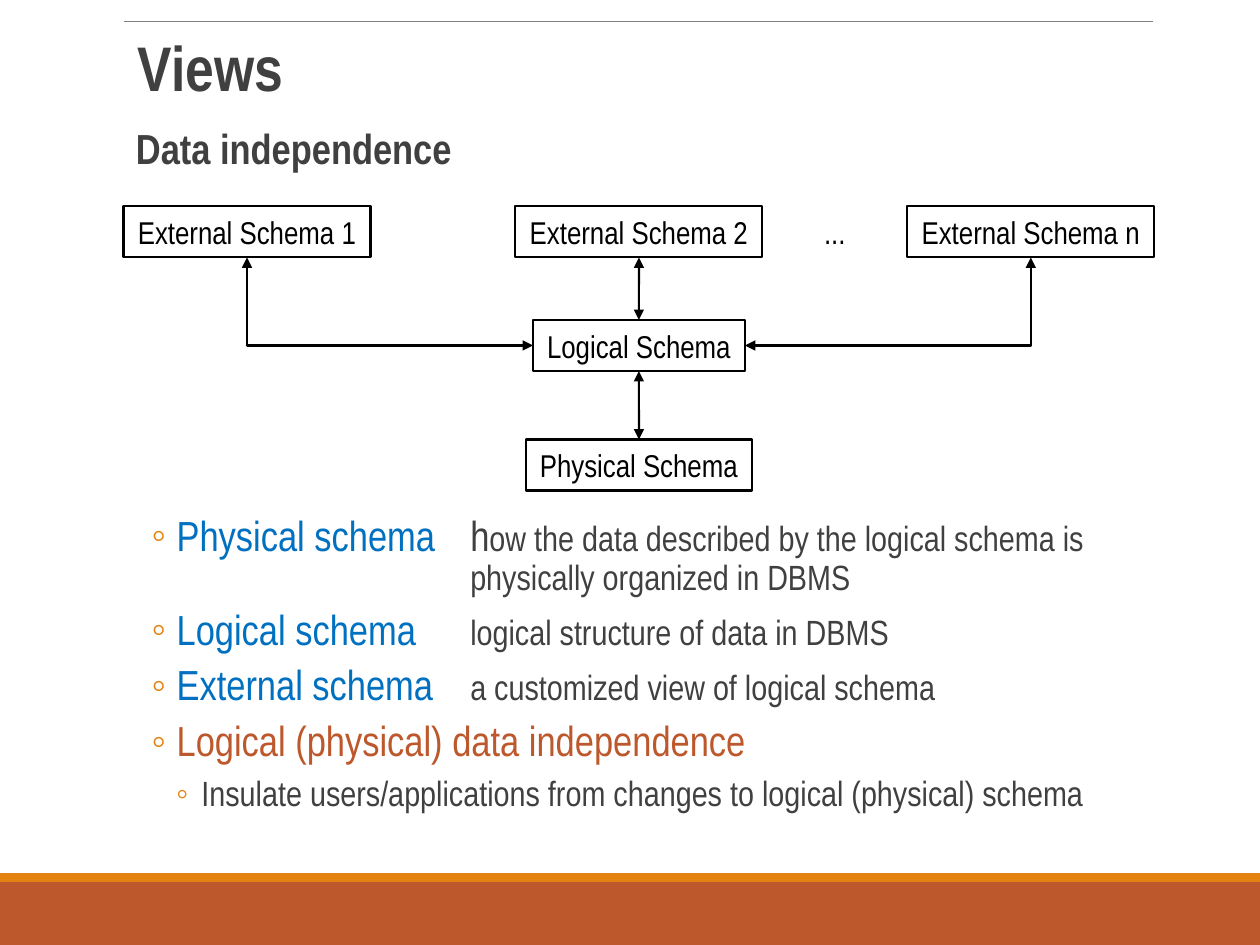
from dataclasses import dataclass

import pptx
import pptx.dml.color
import pptx.enum.shapes
import pptx.enum.text
import pptx.oxml
import pptx.oxml.ns
import pptx.util
from pptx.util import Cm, Pt

Shapes = pptx.enum.shapes.MSO_SHAPE
Connectors = pptx.enum.shapes.MSO_CONNECTOR
Anchor = pptx.enum.text.MSO_ANCHOR
Align = pptx.enum.text.PP_ALIGN


@dataclass(frozen=True)
class Theme:
    font: str = "Arial Narrow"
    text: str = "404040"
    ink: str = "000000"
    paper: str = "FFFFFF"
    term: str = "0070C0"
    rust: str = "BD582C"
    orange: str = "E48312"
    rule: str = "808080"
    title_size: int = 36
    heading_size: int = 24
    detail_size: int = 20
    box_size: int = 18
    box_line: float = 1.25


@dataclass(frozen=True)
class SchemaBox:
    label: str
    center: float
    top: float
    width: float
    outlined: bool = True


@dataclass(frozen=True)
class Link:
    """Joins two boxes at connection sites: 0 top, 1 left, 2 bottom, 3 right."""
    start: str
    start_site: int
    end: str
    end_site: int
    bent: bool = False


THEME = Theme()
LEFT, CONTENT_WIDTH = 2.49, 20.78
SLIDE_WIDTH, SLIDE_HEIGHT = 25.4, 19.05
BOX_HEIGHT = 1.03
FIRST_CENTER, PITCH = 4.98, 7.9
MIDDLE = FIRST_CENTER + PITCH
EXTERNAL_TOP, EXTERNAL_WIDTH = 4.16, 4.98
DIAGRAM_GAP = 193

BOXES = [
    SchemaBox("Physical Schema", MIDDLE, 8.86, 4.55),
    SchemaBox("Logical Schema", MIDDLE, 6.45, 4.27),
    *(SchemaBox(f"External Schema {name}", FIRST_CENTER + index * PITCH,
                EXTERNAL_TOP, EXTERNAL_WIDTH)
      for index, name in enumerate("12n")),
    SchemaBox("...", MIDDLE + PITCH / 2, EXTERNAL_TOP, 0.97, outlined=False),
]
LINKS = [
    Link("Logical Schema", 2, "Physical Schema", 0),
    Link("External Schema 2", 2, "Logical Schema", 0),
    Link("Logical Schema", 1, "External Schema 1", 2, bent=True),
    Link("Logical Schema", 3, "External Schema n", 2, bent=True),
]
DEFINITIONS = [
    ("Logical schema", "logical structure of data in DBMS"),
    ("External schema", "a customized view of logical schema"),
]


def rgb(value: str) -> pptx.dml.color.RGBColor:
    return pptx.dml.color.RGBColor.from_string(value)


def add_text(para, text: str, *, size: float, color: str = THEME.text, bold: bool = False) -> None:
    span = para.add_run()
    span.text = text
    span.font.name = THEME.font
    span.font.size = Pt(size)
    span.font.bold = bold
    span.font.color.rgb = rgb(color)


def add_xml(parent, markup: str) -> None:
    namespace = pptx.oxml.ns.nsdecls("a")
    parent.append(pptx.oxml.parse_xml(markup.replace("/>", f" {namespace}/>", 1)
                                      if markup.count("<") == 1
                                      else markup.replace(">", f" {namespace}>", 1)))


def format_paragraph(para, *, margin: float = 0, hanging: float = 0, before: float = 2,
                     after: float = 4, level: int = 0, tab: float = 0) -> None:
    """Set spacing and indents in points and cm; a hanging indent brings a bullet."""
    para.level = level
    para.alignment = Align.LEFT
    para.line_spacing = 0.9
    para.space_before, para.space_after = Pt(before), Pt(after)
    properties = para._p.get_or_add_pPr()
    properties.set("marL", str(Cm(margin)))
    properties.set("indent", str(-Cm(hanging)))
    if hanging:
        add_xml(properties, f'<a:buClr><a:srgbClr val="{THEME.orange}"/></a:buClr>')
        add_xml(properties, '<a:buChar char="◦"/>')
    else:
        add_xml(properties, "<a:buNone/>")
    if tab:
        add_xml(properties, f'<a:tabLst><a:tab pos="{Cm(tab)}" algn="l"/></a:tabLst>')


def place_placeholder(holder, top: float, height: float):
    holder.left, holder.top = Cm(LEFT), Cm(top)
    holder.width, holder.height = Cm(CONTENT_WIDTH), Cm(height)
    frame = holder.text_frame
    frame.margin_left = frame.margin_right = 0
    frame.margin_top = frame.margin_bottom = Cm(0.13)
    frame.vertical_anchor = Anchor.TOP
    frame.auto_size = pptx.enum.text.MSO_AUTO_SIZE.NONE
    frame.word_wrap = True
    return frame


def add_rectangle(page, left: float, top: float, width: float, height: float, fill: str):
    shape = page.shapes.add_shape(Shapes.RECTANGLE, Cm(left), Cm(top), Cm(width), Cm(height))
    shape.shadow.inherit = False
    shape.fill.solid()
    shape.fill.fore_color.rgb = rgb(fill)
    shape.line.fill.background()
    return shape


def add_line(page, kind, ends: tuple, color: str, width: float):
    line = page.shapes.add_connector(kind, *(Cm(value) for value in ends))
    line.line.color.rgb = rgb(color)
    line.line.width = Pt(width)
    add_xml(line._element.spPr, "<a:effectLst/>")
    return line


def add_schema_box(page, box: SchemaBox):
    shape = add_rectangle(page, box.center - box.width / 2, box.top,
                          box.width, BOX_HEIGHT, THEME.paper)
    if box.outlined:
        shape.line.color.rgb = rgb(THEME.ink)
        shape.line.width = Pt(THEME.box_line)
    frame = shape.text_frame
    frame.word_wrap = False
    frame.vertical_anchor = Anchor.MIDDLE
    para = frame.paragraphs[0]
    para.alignment = Align.CENTER
    add_text(para, box.label, size=THEME.box_size, color=THEME.ink)
    return shape


def add_link(page, link: Link, shapes: dict) -> None:
    kind = Connectors.ELBOW if link.bent else Connectors.STRAIGHT
    arrow = add_line(page, kind, (0, 0, 0, 0), THEME.ink, THEME.box_line)
    arrow.begin_connect(shapes[link.start], link.start_site)
    arrow.end_connect(shapes[link.end], link.end_site)
    if link.bent:
        arrow._element.spPr.find(pptx.oxml.ns.qn("a:prstGeom")).set("prst", "bentConnector2")
    outline = arrow.line._get_or_add_ln()
    for end in ("headEnd", "tailEnd"):
        add_xml(outline, f'<a:{end} type="triangle"/>')


def fill_body(frame) -> None:
    heading = frame.paragraphs[0]
    format_paragraph(heading, margin=0.25, before=12, after=2)
    add_text(heading, "Data independence", size=THEME.heading_size, bold=True)

    bullet = dict(margin=1.07, hanging=0.51, level=1)
    physical = frame.add_paragraph()
    format_paragraph(physical, **{**bullet, "before": DIAGRAM_GAP, "tab": 6.99})
    add_text(physical, "Physical schema", size=THEME.heading_size, color=THEME.term)
    add_text(physical, "\th", size=THEME.heading_size)
    add_text(physical, "ow the data described by the logical schema is", size=THEME.detail_size)
    physical.add_line_break()
    add_text(physical, "\tphysically organized in DBMS", size=THEME.detail_size)

    for term, meaning in DEFINITIONS:
        para = frame.add_paragraph()
        format_paragraph(para, **bullet, tab=6.99)
        add_text(para, f"{term}\t", size=THEME.heading_size, color=THEME.term)
        add_text(para, meaning, size=THEME.detail_size)

    para = frame.add_paragraph()
    format_paragraph(para, **bullet)
    add_text(para, "Logical (physical) data independence", size=THEME.heading_size, color=THEME.rust)
    para = frame.add_paragraph()
    format_paragraph(para, margin=1.57, hanging=0.51, level=2)
    add_text(para, "Insulate users/applications from changes to logical (physical) schema",
             size=THEME.detail_size)


def main() -> None:
    deck = pptx.Presentation()
    deck.slide_width, deck.slide_height = Cm(SLIDE_WIDTH), Cm(SLIDE_HEIGHT)
    page = deck.slides.add_slide(deck.slide_layouts[1])

    title = place_placeholder(page.shapes.title, 0.61, 1.7).paragraphs[0]
    format_paragraph(title, margin=0.29, before=0, after=0)
    add_text(title, "Views", size=THEME.title_size, bold=True)
    fill_body(place_placeholder(page.placeholders[1], 2.46, 15.04))

    add_rectangle(page, 0, 17.78, SLIDE_WIDTH, 1.27, THEME.rust)
    add_rectangle(page, 0, 17.6, SLIDE_WIDTH, 0.18, THEME.orange)
    add_line(page, Connectors.STRAIGHT, (LEFT, 0.44, LEFT + 20.75, 0.44), THEME.rule, 0.5)

    shapes = {box.label: add_schema_box(page, box) for box in BOXES}
    for link in LINKS:
        add_link(page, link, shapes)
    deck.save("out.pptx")


if __name__ == "__main__":
    main()
